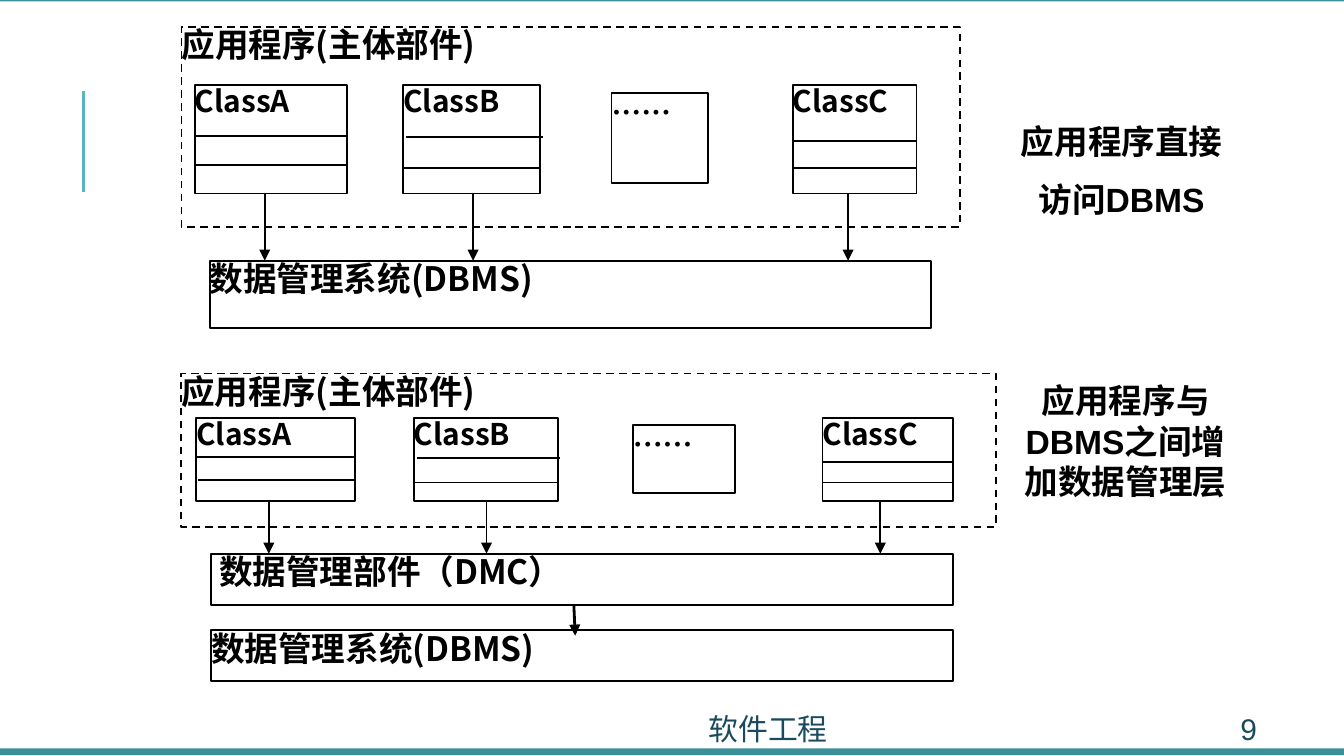
from lxml.etree import SubElement
from pptx import Presentation
from pptx.dml.color import RGBColor
from pptx.enum.dml import MSO_LINE
from pptx.enum.shapes import MSO_CONNECTOR, MSO_SHAPE
from pptx.enum.text import MSO_ANCHOR, PP_ALIGN
from pptx.oxml.ns import qn
from pptx.util import Inches, Pt

BLACK = RGBColor(0x00, 0x00, 0x00)
WHITE = RGBColor(0xFF, 0xFF, 0xFF)
TEAL = RGBColor(0x3A, 0x8F, 0x98)
LIGHT_TEAL = RGBColor(0x58, 0xB6, 0xC0)
NAVY = RGBColor(0x1A, 0x4A, 0x5D)
HEADING = "应用程序(主体部件)"
DBMS = "数据管理系统(DBMS)"


class DiagramSlide:
    """Draws the bands, boxes, lines and labels of an architecture slide."""

    body_font = "Noto Sans CJK SC"
    label_font = "Arial"
    dots_font = "Times New Roman"

    def __init__(self, slide):
        self.shapes = slide.shapes

    def style(self, paragraph, font_name, size, color=BLACK, bold=True):
        font = paragraph.font
        font.name, font.size, font.bold = font_name, Pt(size), bold
        font.color.rgb = color
        east_asian = SubElement(paragraph._p.pPr.find(qn("a:defRPr")), qn("a:ea"))
        east_asian.set("typeface", self.body_font)

    def rectangle(self, left, top, width, height):
        rect = self.shapes.add_shape(
            MSO_SHAPE.RECTANGLE, Inches(left), Inches(top), Inches(width), Inches(height))
        rect.shadow.inherit = False
        return rect

    def band(self, top, height, color):
        band = self.rectangle(0, top, 10, height)
        band.fill.solid()
        band.fill.fore_color.rgb = color
        band.line.fill.background()

    def box(self, text, left, top, width, height, size=18, dashed=False, inset=0,
            font_name=body_font, align=PP_ALIGN.LEFT, spacing=0.96):
        box = self.rectangle(left, top, width, height)
        box.fill.background()
        box.line.color.rgb = BLACK
        box.line.width = Pt(1)
        if dashed:
            box.line.dash_style = MSO_LINE.DASH
        frame = box.text_frame
        frame.word_wrap = True
        frame.vertical_anchor = MSO_ANCHOR.TOP
        frame.margin_left = frame.margin_right = Inches(inset)
        frame.margin_top, frame.margin_bottom = 0, Inches(0.03)
        paragraph = frame.paragraphs[0]
        paragraph.text = text
        paragraph.alignment = align
        paragraph.line_spacing = spacing
        self.style(paragraph, font_name, size)

    def dots(self, left, top, width, height):
        self.box("······", left, top, width, height, 16, font_name=self.dots_font,
                 align=PP_ALIGN.JUSTIFY, spacing=1.0)

    def line(self, x1, y1, x2, y2, color=BLACK, weight=1, arrow=False):
        line = self.shapes.add_connector(
            MSO_CONNECTOR.STRAIGHT, Inches(x1), Inches(y1), Inches(x2), Inches(y2))
        line.line.color.rgb = color
        line.line.width = Pt(weight)
        properties = line._element.spPr
        if arrow:
            SubElement(properties.find(qn("a:ln")), qn("a:tailEnd")).set("type", "triangle")
        SubElement(properties, qn("a:effectLst"))

    def class_box(self, name, left, top, width, height, dividers, arrow_x, target):
        self.box(name, left, top, width, height, 16)
        for shift, y in dividers:
            self.line(left + shift, y, left + shift + width, y)
        self.line(arrow_x, top + height, arrow_x, target, arrow=True)

    def label(self, lines, left, top, width, height, size=18, color=BLACK, bold=True,
              anchor=MSO_ANCHOR.TOP):
        frame = self.shapes.add_textbox(
            Inches(left), Inches(top), Inches(width), Inches(height)).text_frame
        frame.word_wrap = True
        frame.vertical_anchor = anchor
        for index, text in enumerate(lines):
            paragraph = frame.add_paragraph() if index else frame.paragraphs[0]
            paragraph.text = text
            paragraph.alignment = PP_ALIGN.CENTER
            if index:
                paragraph.space_before = Pt(9.5)
            self.style(paragraph, self.label_font, size, color, bold)

    def footer(self, text, left, width):
        self.label([text], left, 5.31, width, 0.23, 16, NAVY, False, MSO_ANCHOR.MIDDLE)


def main():
    presentation = Presentation()
    presentation.slide_width = Inches(10)
    presentation.slide_height = Inches(10) * 9 // 16
    diagram = DiagramSlide(presentation.slides.add_slide(presentation.slide_layouts[6]))

    for top, height, color in ((5.08, 0.54, TEAL), (0, 0.85, TEAL),
                               (4.61, 0.96, WHITE), (0.01, 1.52, WHITE)):
        diagram.band(top, height, color)
    diagram.line(0.62, 1.43, 0.62, 0.68, LIGHT_TEAL, 1.5)
    diagram.footer("软件工程", 2.61, 6.21)
    diagram.footer("9", 8.89, 0.8)

    diagram.label(["应用程序直接", "访问DBMS"], 7.42, 0.85, 1.85, 0.84)
    diagram.box(HEADING, 1.35, 0.2, 5.79, 1.49, dashed=True)
    direct_classes = (
        ("ClassA", 1.45, 1.13, ((0, 1.01), (0.01, 1.23)), 1.97),
        ("ClassB", 3.0, 1.02, ((0.02, 1.02), (0, 1.25)), 3.52),
        ("ClassC", 5.9, 0.92, ((0, 1.05), (0, 1.25)), 6.31),
    )
    for name, left, width, dividers, arrow_x in direct_classes:
        diagram.class_box(name, left, 0.63, width, 0.81, dividers, arrow_x, 1.94)
    diagram.dots(4.55, 0.69, 0.72, 0.67)
    diagram.box(DBMS, 1.56, 1.94, 5.37, 0.5)

    diagram.box(HEADING, 1.35, 2.78, 6.06, 1.14, dashed=True)
    layered_classes = (
        ("ClassA", 1.46, 1.18, ((0, 3.4), (0.01, 3.57)), 2.0),
        ("ClassB", 3.08, 1.07, ((0.02, 3.41), (0, 3.59)), 3.62),
        ("ClassC", 6.12, 0.97, ((0, 3.44), (0, 3.59)), 6.55),
    )
    for name, left, width, dividers, arrow_x in layered_classes:
        diagram.class_box(name, left, 3.11, width, 0.62, dividers, arrow_x, 4.12)
    diagram.dots(4.71, 3.16, 0.76, 0.51)
    diagram.box(DBMS, 1.57, 4.69, 5.52, 0.38)
    diagram.box("数据管理部件（DMC）", 1.57, 4.12, 5.52, 0.38, inset=0.06)
    diagram.line(4.27, 4.5, 4.28, 4.73, weight=1.5, arrow=True)
    diagram.label(["应用程序与DBMS之间增加数据管理层"], 7.49, 2.78, 1.77, 1.58)

    presentation.save("out.pptx")


if __name__ == "__main__":
    main()
